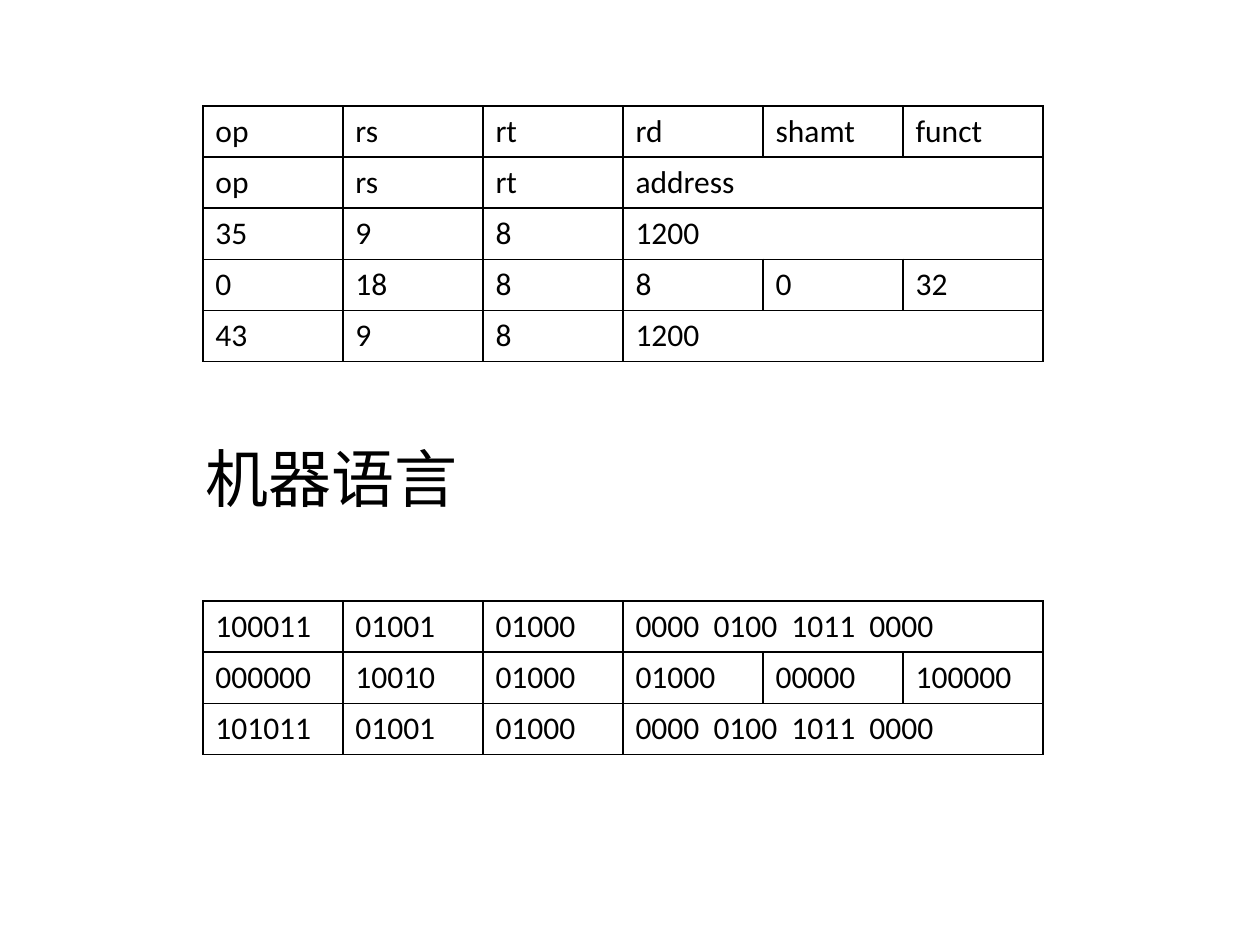
from dataclasses import dataclass

from lxml import etree
from pptx import Presentation
from pptx.dml.color import RGBColor
from pptx.enum.text import MSO_AUTO_SIZE
from pptx.oxml.ns import qn
from pptx.util import Inches, Pt

FIT_SHAPE = MSO_AUTO_SIZE.SHAPE_TO_FIT_TEXT
BLACK = "000000"
FONT = "Calibri"
FIELD_COUNT = 6
TABLE_LEFT = 1.61
TABLE_WIDTH = 6.67
ROW_HEIGHT = 0.406
BORDER_WIDTH = 1
BORDER_SIDES = ("a:lnL", "a:lnR", "a:lnT", "a:lnB")
ADDRESS_BITS = "0000  0100  1011  0000"


@dataclass(frozen=True)
class InstructionTable:
    top: float
    rows: tuple[tuple[str, ...], ...]


DECIMAL_CODE = InstructionTable(0.84, (
    ("op", "rs", "rt", "rd", "shamt", "funct"),
    ("op", "rs", "rt", "address"),
    ("35", "9", "8", "1200"),
    ("0", "18", "8", "8", "0", "32"),
    ("43", "9", "8", "1200"),
))
BINARY_CODE = InstructionTable(4.77, (
    ("100011", "01001", "01000", ADDRESS_BITS),
    ("000000", "10010", "01000", "01000", "00000", "100000"),
    ("101011", "01001", "01000", ADDRESS_BITS),
))


def color(value: str) -> RGBColor:
    return RGBColor.from_string(value)


def write(text_frame, text: str, size: float) -> None:
    paragraph = text_frame.paragraphs[0]
    paragraph.text = text
    paragraph.font.name = FONT
    paragraph.font.size = Pt(size)
    paragraph.font.color.rgb = color(BLACK)


def outline(cell) -> None:
    properties = cell._tc.get_or_add_tcPr()
    for side in BORDER_SIDES:
        line = etree.SubElement(properties, qn(side), w=str(Pt(BORDER_WIDTH)))
        fill = etree.SubElement(line, qn("a:solidFill"))
        etree.SubElement(fill, qn("a:srgbClr"), val=BLACK)
    cell.fill.background()


def draw_table(slide, instructions: InstructionTable) -> None:
    row_count = len(instructions.rows)
    table = slide.shapes.add_table(
        row_count, FIELD_COUNT, Inches(TABLE_LEFT), Inches(instructions.top),
        Inches(TABLE_WIDTH), Inches(ROW_HEIGHT * row_count),
    ).table
    table.first_row = False
    table.horz_banding = False
    for cell in table.iter_cells():
        outline(cell)
    for row, fields in enumerate(instructions.rows):
        for column, field in enumerate(fields):
            write(table.cell(row, column).text_frame, field, 18)
        if len(fields) < FIELD_COUNT:
            address = table.cell(row, len(fields) - 1)
            address.merge(table.cell(row, FIELD_COUNT - 1))


def draw_heading(slide, text: str) -> None:
    heading = slide.shapes.add_textbox(
        Inches(1.53), Inches(3.44), Inches(3.54), Inches(0.71)
    ).text_frame
    heading.word_wrap = True
    heading.auto_size = FIT_SHAPE
    write(heading, text, 36)


def main() -> None:
    presentation = Presentation()
    presentation.slide_width = Inches(10)
    presentation.slide_height = Inches(7.5)
    slide = presentation.slides.add_slide(presentation.slide_layouts[6])
    draw_table(slide, DECIMAL_CODE)
    draw_table(slide, BINARY_CODE)
    draw_heading(slide, "机器语言")
    presentation.save("out.pptx")


if __name__ == "__main__":
    main()
